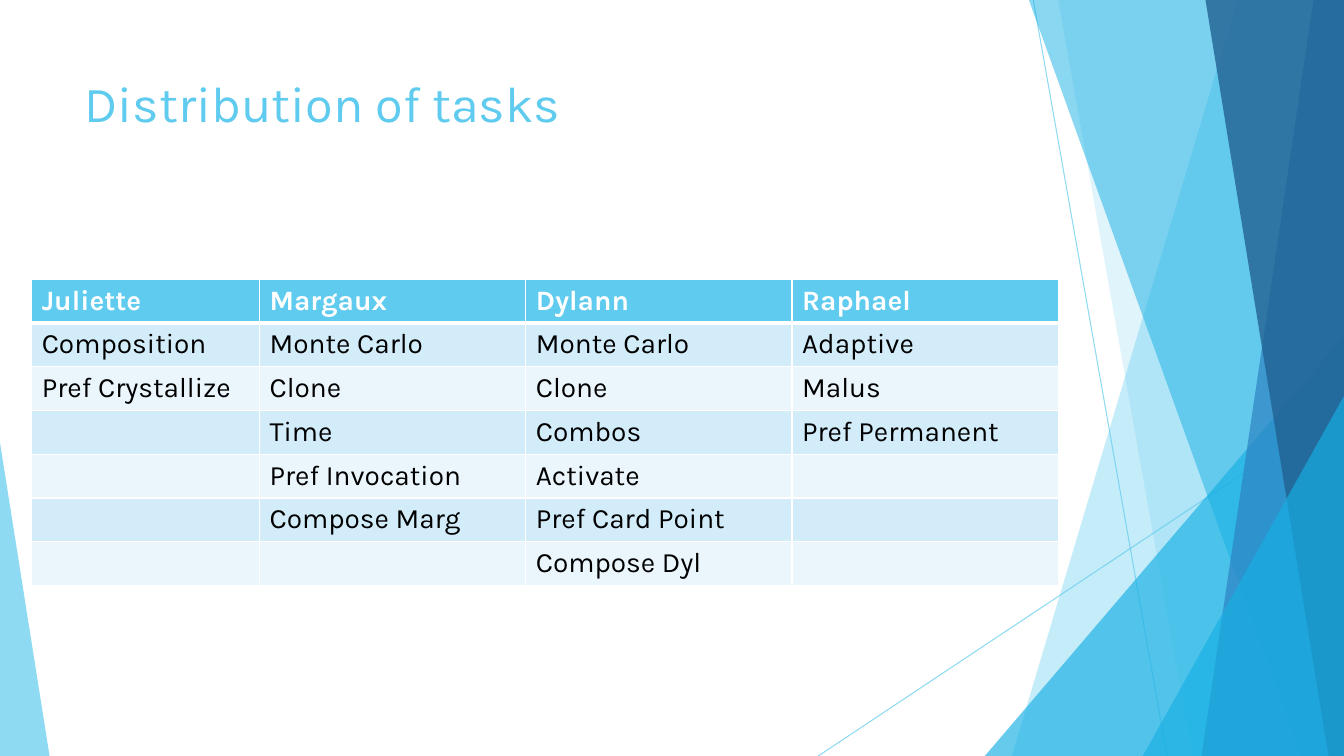
"""Build the "Distribution of tasks" slide."""
from dataclasses import dataclass
from itertools import zip_longest

from lxml.etree import SubElement
from pptx import Presentation
from pptx.dml.color import RGBColor as Rgb
from pptx.enum.shapes import MSO_CONNECTOR as Connector, MSO_SHAPE as Preset
from pptx.enum.text import MSO_ANCHOR as Anchor
from pptx.oxml.ns import qn
from pptx.util import Cm, Pt

SLIDE_W, SLIDE_H = 33.87, 19.05


@dataclass(frozen=True)
class Theme:
    """Colours, font and type sizes of the slide."""
    font: str = "Karla"
    title_size: int = 36
    cell_size: int = 20
    sky: str = "5FCBEF"
    cyan: str = "17B0E4"
    blue: str = "2E83C3"
    navy: str = "226292"
    bands: tuple = ("D2ECF9", "EAF6FC")
    white: str = "FFFFFF"
    black: str = "000000"


THEME = Theme()

TASKS = {
    "Juliette": ["Composition", "Pref Crystallize"],
    "Margaux": ["Monte Carlo", "Clone", "Time", "Pref Invocation", "Compose Marg"],
    "Dylann": ["Monte Carlo", "Clone", "Combos", "Activate", "Pref Card Point",
               "Compose Dyl"],
    "Raphael": ["Adaptive", "Malus", "Pref Permanent"],
}


def set_opacity(element, percent):
    """Make the colours of a shape element partly transparent."""
    for colour in element.spPr.iter(qn("a:srgbClr")):
        SubElement(colour, qn("a:alpha")).set("val", str(percent * 1000))


def paint(shape, colour, opacity):
    """Give a shape a flat translucent fill without line or shadow."""
    shape.shadow.inherit = False
    shape.fill.solid()
    shape.fill.fore_color.rgb = Rgb.from_string(colour)
    shape.line.fill.background()
    set_opacity(shape.element, opacity)


def add_ray(shapes, x1, y1, x2, y2):
    """Draw a thin translucent line."""
    ray = shapes.add_connector(Connector.STRAIGHT, Cm(x1), Cm(y1), Cm(x2), Cm(y2))
    ray.line.color.rgb = Rgb.from_string(THEME.sky)
    ray.line.width = Pt(0.75)
    set_opacity(ray.element, 70)
    SubElement(ray.element.spPr, qn("a:effectLst"))


def add_ribbon(shapes, top_x, bottom_x, colour, opacity):
    """Fill from a slanted left edge to the right side of the slide."""
    outline = shapes.build_freeform(Cm(top_x), 0)
    outline.add_line_segments([(Cm(SLIDE_W), 0), (Cm(SLIDE_W), Cm(SLIDE_H)),
                               (Cm(bottom_x), Cm(SLIDE_H))], close=True)
    paint(outline.convert_to_shape(), colour, opacity)


def add_corner(shapes, left, right, top, apex, colour, opacity):
    """Add a triangle standing on the bottom edge of the slide."""
    corner = shapes.add_shape(Preset.ISOSCELES_TRIANGLE, Cm(left), Cm(top),
                              Cm(right - left), Cm(SLIDE_H - top))
    corner.adjustments[0] = apex
    paint(corner, colour, opacity)


def write(frame, text, size, colour, bold=False):
    """Set the text of a frame and format its run."""
    frame.text = text
    for run in frame.paragraphs[0].runs:
        run.font.name = THEME.font
        run.font.size = Pt(size)
        run.font.bold = bold
        run.font.color.rgb = Rgb.from_string(colour)


def add_title(shapes, text):
    """Add the slide title."""
    title = shapes.add_textbox(Cm(1.88), Cm(1.7), Cm(23.88), Cm(3.66)).text_frame
    title.word_wrap = True
    title.vertical_anchor = Anchor.TOP
    write(title, text, THEME.title_size, THEME.sky)


def set_borders(cell, bottom, top):
    """Draw the white borders of a cell, with widths in points."""
    for tag, width in (("a:lnL", 1), ("a:lnR", 1), ("a:lnT", top), ("a:lnB", bottom)):
        border = SubElement(cell._tc.get_or_add_tcPr(), qn(tag), w=str(Pt(width)))
        solid = SubElement(border, qn("a:solidFill"))
        SubElement(solid, qn("a:srgbClr"), val=THEME.white)


def add_task_table(shapes, tasks):
    """Add a banded table with one column of tasks per person."""
    rows = [tuple(tasks), *zip_longest(*tasks.values(), fillvalue="")]
    widths = [5.74] + [6.71] * (len(tasks) - 1)
    row_height = 1.08
    table = shapes.add_table(len(rows), len(widths), Cm(0.8), Cm(7.04),
                             Cm(sum(widths)), Cm(row_height * len(rows))).table
    for column, width in zip(table.columns, widths):
        column.width = Cm(width)
    for r, names in enumerate(rows):
        table.rows[r].height = Cm(row_height)
        header = r == 0
        fill = THEME.sky if header else THEME.bands[(r - 1) % 2]
        for c, name in enumerate(names):
            cell = table.cell(r, c)
            set_borders(cell, bottom=3 if header else 1, top=3 if r == 1 else 1)
            cell.fill.solid()
            cell.fill.fore_color.rgb = Rgb.from_string(fill)
            write(cell.text_frame, name, THEME.cell_size,
                  THEME.white if header else THEME.black, bold=header)


def add_facets(shapes):
    """Add the translucent facets along the slide edges."""
    add_ray(shapes, 26.04, 0, 29.41, SLIDE_H)
    add_ray(shapes, SLIDE_W, 10.24, 20.62, SLIDE_H)
    add_ribbon(shapes, 31.19, 25.5, THEME.sky, 36)
    add_ribbon(shapes, 26.67, 30.05, THEME.sky, 20)
    add_corner(shapes, 24.82, SLIDE_W, 8.46, 1, THEME.cyan, 66)
    add_ribbon(shapes, 25.93, 32.79, THEME.cyan, 50)
    add_ribbon(shapes, 33.1, 30.28, THEME.blue, 70)
    add_ribbon(shapes, 30.38, 33.48, THEME.navy, 80)
    add_corner(shapes, 28.8, SLIDE_W, 9.98, 1, THEME.cyan, 66)
    add_corner(shapes, 0, 1.25, 11.15, 0, THEME.sky, 70)


def main():
    """Create the slide and save it."""
    deck = Presentation()
    deck.slide_width, deck.slide_height = Cm(SLIDE_W), Cm(SLIDE_H)
    shapes = deck.slides.add_slide(deck.slide_layouts[6]).shapes
    add_facets(shapes)
    add_title(shapes, "Distribution of tasks")
    add_task_table(shapes, TASKS)
    deck.save("out.pptx")


if __name__ == "__main__":
    main()
